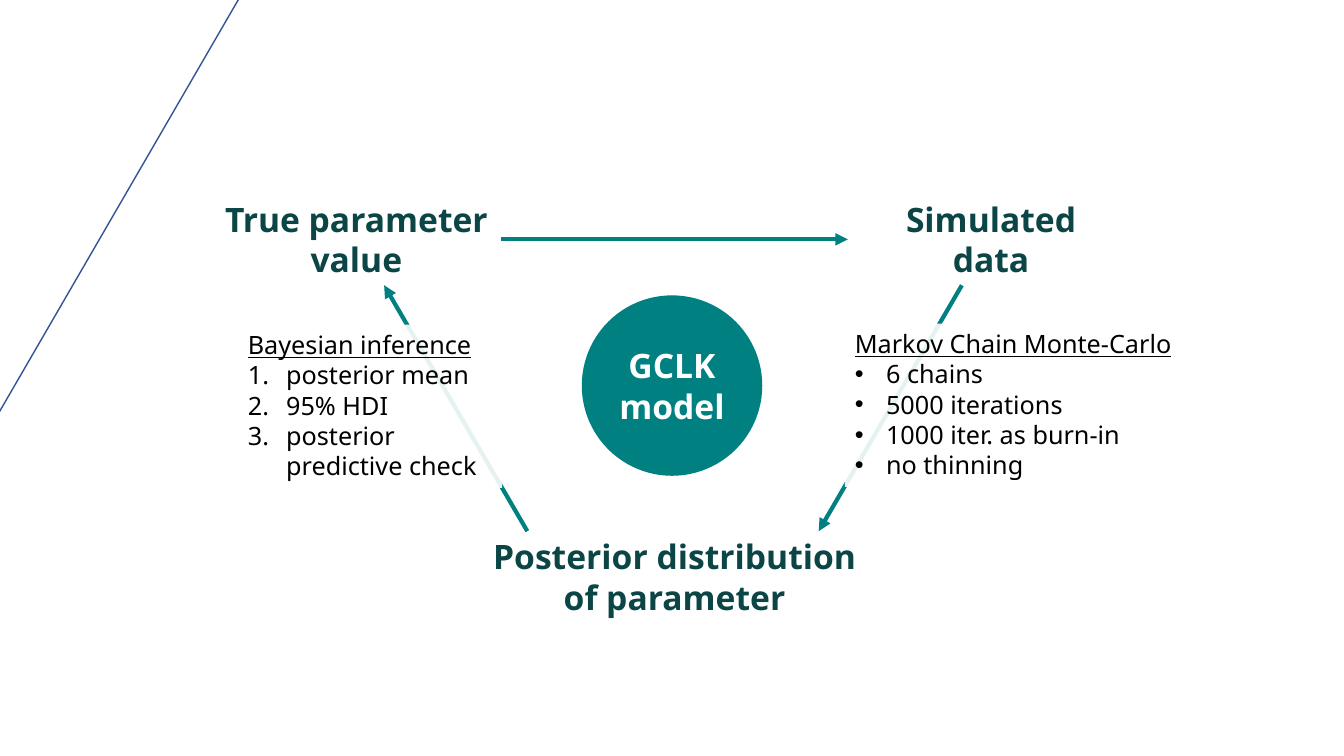
from lxml import etree
from pptx import Presentation
from pptx.dml.color import RGBColor
from pptx.enum.shapes import MSO_CONNECTOR, MSO_SHAPE
from pptx.enum.text import MSO_ANCHOR, MSO_AUTO_SIZE, PP_ALIGN
from pptx.oxml.ns import qn
from pptx.util import Emu, Pt

PX = 9144  # 100 px to the inch
FONT = "Noto Sans"
COLORS = {
    "teal": "008080",
    "heading": "0B4545",
    "blue": "325491",
    "white": "FFFFFF",
    "black": "000000",
}
STRAIGHT = MSO_CONNECTOR.STRAIGHT
OVAL, RECTANGLE, TRIANGLE = MSO_SHAPE.OVAL, MSO_SHAPE.RECTANGLE, MSO_SHAPE.ISOSCELES_TRIANGLE
CENTER, LEFT = PP_ALIGN.CENTER, PP_ALIGN.LEFT
TOP, MIDDLE = MSO_ANCHOR.TOP, MSO_ANCHOR.MIDDLE
FIT_SHAPE = MSO_AUTO_SIZE.SHAPE_TO_FIT_TEXT
RIGHT_SIDE, LEFT_SIDE = 3, 1


def px(*lengths):
    return [Emu(length * PX) for length in lengths]


def color(name):
    return RGBColor.from_string(COLORS[name])


def write(shape, text, size, color_name, bold=False, alignment=CENTER, anchor=TOP):
    frame = shape.text_frame
    frame.text = text
    frame.word_wrap = True
    frame.vertical_anchor = anchor
    for paragraph in frame.paragraphs:
        paragraph.alignment = alignment
        for run in paragraph.runs:
            run.font.name = FONT
            run.font.size = Pt(size)
            run.font.bold = bold
            run.font.color.rgb = color(color_name)


def add_plain_shape(slide, kind, box, fill=None):
    shape = slide.shapes.add_shape(kind, *px(*box))
    shape.shadow.inherit = False
    shape.line.fill.background()
    if fill:
        shape.fill.solid()
        shape.fill.fore_color.rgb = color(fill)
    else:
        shape.fill.background()
    return shape


def add_stage(slide, box, text):
    stage = slide.shapes.add_textbox(*px(*box))
    write(stage, text, 24, "heading", bold=True)
    stage.text_frame.auto_size = FIT_SHAPE
    return stage


def add_arrow(slide, start, end):
    arrow = slide.shapes.add_connector(STRAIGHT, *px(*start, *end))
    arrow.line.color.rgb = color("teal")
    arrow.line.width = Pt(3)
    etree.SubElement(arrow.line._get_or_add_ln(), qn("a:tailEnd"), type="triangle")
    etree.SubElement(arrow._element.spPr, qn("a:effectLst"))
    return arrow


def add_notes_panel(slide, box, title, items, indent, bullet_tag, bullet_attributes):
    panel = add_plain_shape(slide, RECTANGLE, box, "white")
    # Slightly see-through fill lets the arrow behind show faintly
    fill_color = panel._element.spPr.find(qn("a:solidFill"))[0]
    etree.SubElement(fill_color, qn("a:alpha"), val="90000")

    write(panel, "\n".join([title, *items]), 18, "black", alignment=LEFT)
    panel.text_frame.auto_size = FIT_SHAPE
    heading, *entries = panel.text_frame.paragraphs
    heading.runs[0].font.underline = True
    for entry in entries:
        properties = entry._p.get_or_add_pPr()
        properties.set("marL", str(indent * PX))
        properties.set("indent", str(-indent * PX))
        etree.SubElement(properties, qn("a:buFont"), typeface="Arial")
        etree.SubElement(properties, qn(bullet_tag), **bullet_attributes)


def add_corner_triangle(slide, box):
    triangle = add_plain_shape(slide, TRIANGLE, box)
    triangle.rotation = 180
    triangle.line.color.rgb = color("blue")
    triangle.line.width = Pt(1)


def add_cycle(slide, box):
    left, top, width, height = box
    # Three stages
    simulated = add_stage(slide, (left + width - 284, top, 284, 91), "Simulated\ndata")
    true_value = add_stage(slide, (left, top, 287, 91), "True parameter\nvalue")
    add_stage(slide, (left + 264, top + height - 91, 390, 91),
              "Posterior distribution of parameter")

    # Model in the centre
    model = add_plain_shape(slide, OVAL, (left + 367, top + 101, 179, 179), "teal")
    write(model, "GCLK\nmodel", 24, "white", bold=True, anchor=MIDDLE)

    # Arrows round the cycle
    upper, lower = top + 91, top + height - 91
    across = add_arrow(slide, (left + 287, top + 45), (left + width - 284, top + 45))
    across.begin_connect(true_value, RIGHT_SIDE)
    across.end_connect(simulated, LEFT_SIDE)
    add_arrow(slide, (left + 744, upper), (left + 602, lower))
    add_arrow(slide, (left + 313, lower), (left + 171, upper))


def add_method_notes(slide, box):
    left, top, width, height = box
    add_notes_panel(slide, (left + width - 343, top, 343, height), "Markov Chain Monte-Carlo",
                    ["6 chains", "5000 iterations", "1000 iter. as burn-in", "no thinning"],
                    31, "a:buChar", {"char": "•"})
    add_notes_panel(slide, (left, top + 1, 262, height), "Bayesian inference",
                    ["posterior mean", "95% HDI", "posterior predictive check"],
                    38, "a:buAutoNum", {"type": "arabicPeriod"})


def main():
    presentation = Presentation()
    presentation.slide_width, presentation.slide_height = px(1333, 750)
    slide = presentation.slides.add_slide(presentation.slide_layouts[6])
    add_cycle(slide, (210, 192, 915, 426))
    add_corner_triangle(slide, (-351, -67, 626, 540))
    add_method_notes(slide, (236, 321, 945, 162))
    presentation.save("out.pptx")


if __name__ == "__main__":
    main()
